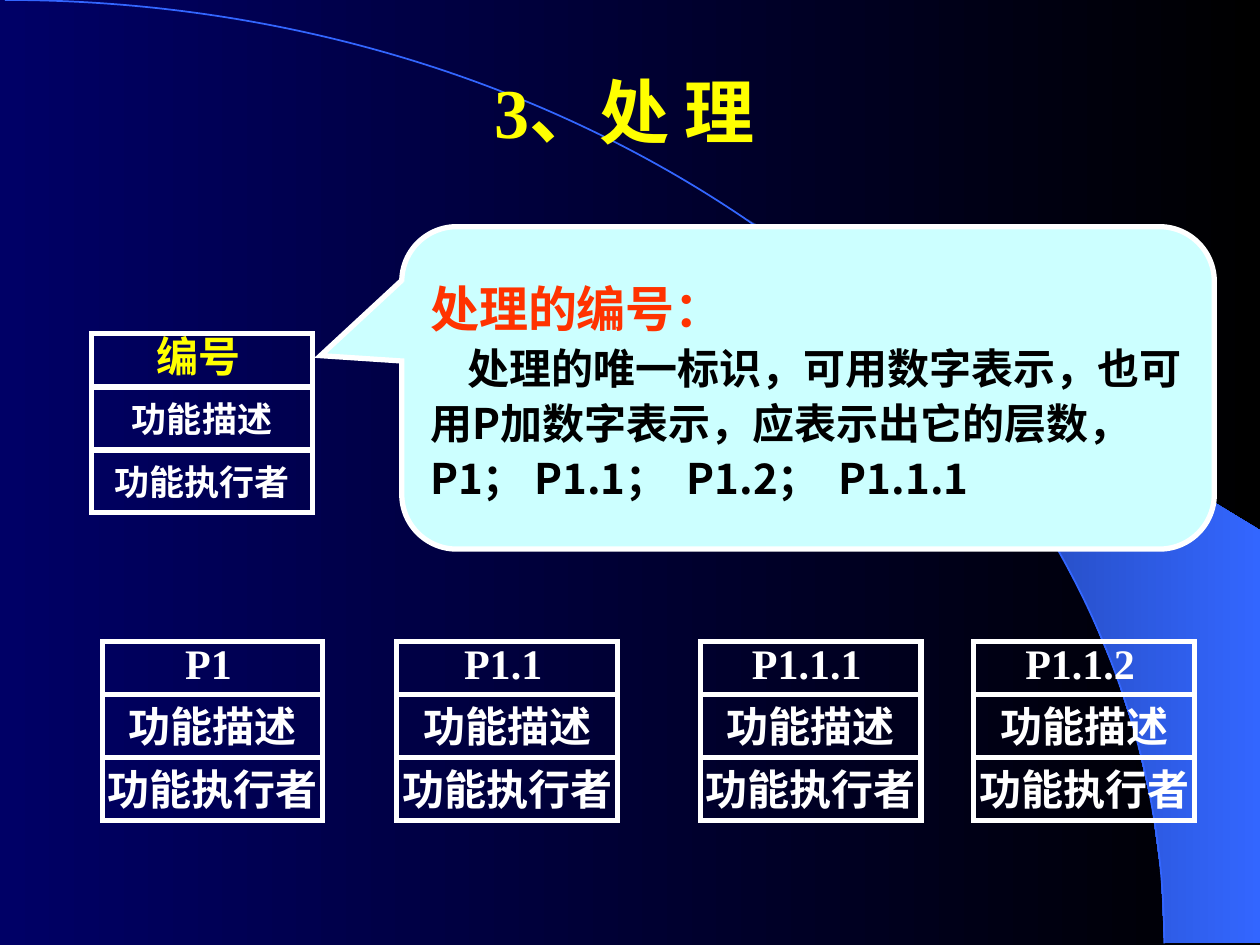
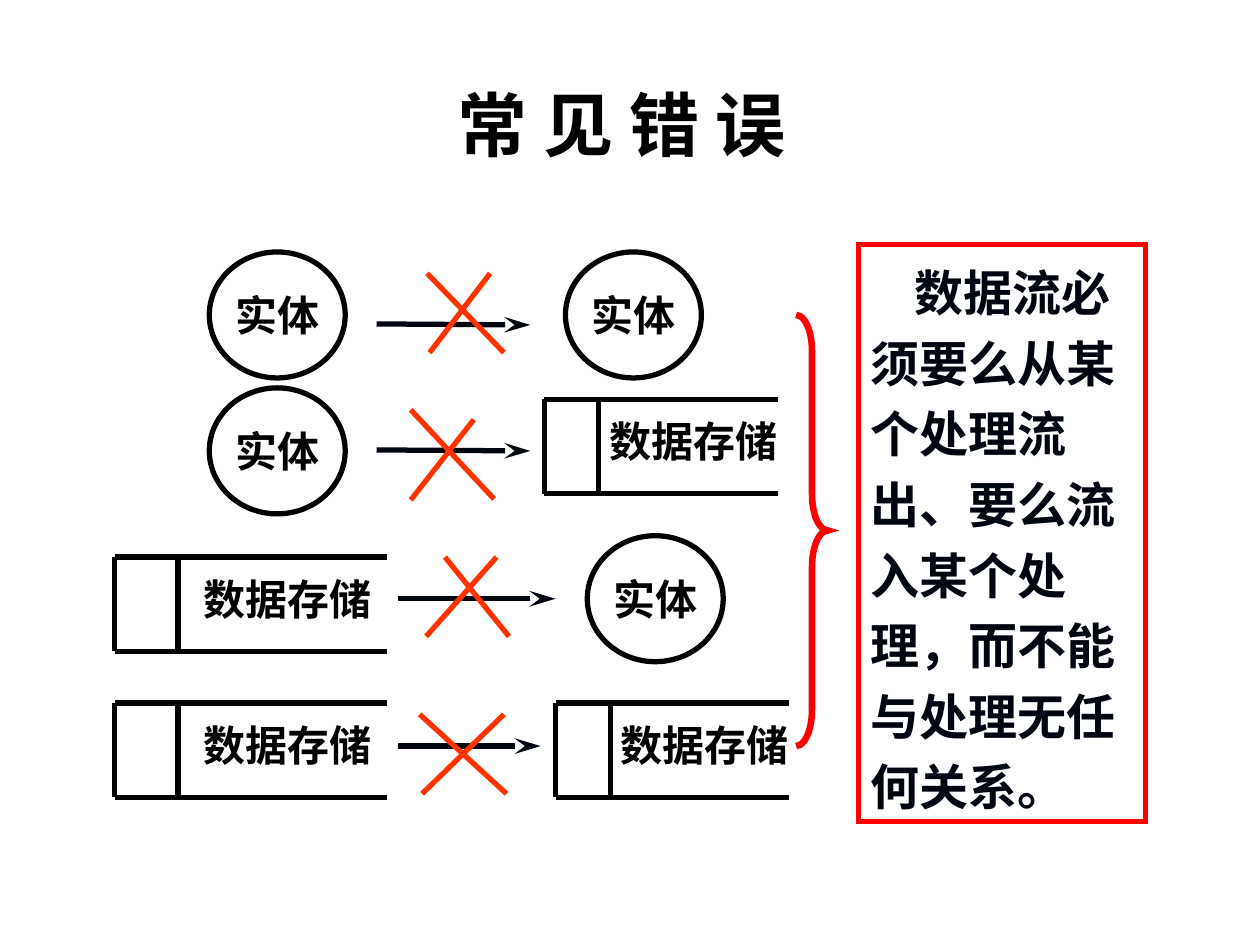
from dataclasses import dataclass
from math import acos, cos, sin

from pptx import Presentation
from pptx.dml.color import RGBColor
from pptx.enum.shapes import MSO_CONNECTOR, MSO_SHAPE as Preset
from pptx.enum.text import MSO_ANCHOR as Anchor, PP_ALIGN as Align
from pptx.oxml.ns import qn
from pptx.oxml.xmlchemy import OxmlElement
from pptx.util import Cm, Pt

SERIF = "Times New Roman"
SANS = "Noto Sans CJK SC"
WHITE, BLACK, INK = "FFFFFF", "000000", "01050F"
YELLOW, RED, ORANGE = "FFFF00", "FF0000", "FF3300"
NAVY, BLUE, DEEP_BLUE, PALE_CYAN = "000066", "3366FF", "182F76", "CCFFFF"
INSET_X, INSET_Y = 0.25, 0.13
RULE_WIDTH = 3
ARC_LEFT, ARC_WIDTH, ARC_HEIGHT = 0.1, 23.37, 19.02
CURVE_RATIO = 0.55
WIDE_GAP = "|"

Point = tuple[float, float]


@dataclass(frozen=True)
class TextStyle:
    size: float
    color: str
    font: str = SERIF
    align: Align = Align.CENTER
    spacing: float = 1.0
    indent: float = 0


@dataclass(frozen=True)
class ProcessBox:
    left: float
    top: float
    number: str
    number_color: str = WHITE
    label_size: float = 24


@dataclass(frozen=True)
class Entity:
    left: float
    top: float


@dataclass(frozen=True)
class DataStore:
    left: float
    top: float
    width: float
    divider: float


@dataclass(frozen=True)
class RejectedFlow:
    """An arrow and the two strokes that cross it out."""
    start: Point
    end: Point
    strokes: tuple[tuple[Point, Point], tuple[Point, Point]]


PROCESS_ROWS = ("功能描述", "功能执行者")
PROCESSES = (
    ProcessBox(1.85, 6.73, "编号", YELLOW, 20),
    ProcessBox(2.06, 12.93, "P1"),
    ProcessBox(8, 12.93, "P1.1"),
    ProcessBox(14.12, 12.93, "P1.1.1"),
    ProcessBox(19.63, 12.93, "P1.1.2"),
)
ENTITIES = (Entity(4.22, 5.08), Entity(11.4, 5.08),
            Entity(4.22, 7.82), Entity(11.84, 10.8))
STORES = (
    DataStore(10.97, 8.05, 4.72, 1.1),
    DataStore(2.31, 11.23, 5.49, 1.28),
    DataStore(2.31, 14.17, 5.49, 1.28),
    DataStore(11.2, 14.17, 4.7, 1.1),
)
FLOWS = (
    RejectedFlow((7.59, 6.53), (10.69, 6.55),
                 (((8.61, 5.51), (10.16, 7.11)), ((9.88, 5.51), (8.66, 7.11)))),
    RejectedFlow((7.59, 9.07), (10.69, 9.09),
                 (((8.28, 8.26), (9.96, 10.06)), ((9.55, 8.46), (8.28, 10.08)))),
    RejectedFlow((8.03, 12.07), (11.2, 12.07),
                 (((8.97, 11.23), (10.26, 12.83)), ((10.01, 11.23), (8.59, 12.83)))),
    RejectedFlow((8.03, 15.04), (10.9, 15.04),
                 (((8.46, 14.4), (10.21, 16)), ((10.16, 14.4), (8.51, 16)))),
)


def rgb(color: str) -> RGBColor:
    return RGBColor.from_string(color)


def set_values(target, values: dict) -> None:
    for name, value in values.items():
        setattr(target, name, value)


def add_element(parent, tag: str, **attributes: str):
    element = OxmlElement(tag)
    for name, value in attributes.items():
        element.set(name, value)
    parent.append(element)
    return element


def paint_gradient(fill, colors: tuple[str, str]) -> None:
    fill.gradient()
    fill.gradient_angle = 0
    for stop, color in zip(fill.gradient_stops, colors):
        stop.color.rgb = rgb(color)


def paint(shape, fill: str | None = None, line: str | None = None,
          width: float = RULE_WIDTH) -> None:
    """Give a shape a plain fill and a sharp-cornered line, or none, and no shadow."""
    shape.shadow.inherit = False
    if fill:
        shape.fill.solid()
        shape.fill.fore_color.rgb = rgb(fill)
    else:
        shape.fill.background()
    if line:
        shape.line.color.rgb = rgb(line)
        shape.line.width = Pt(width)
        add_element(shape.line._ln, "a:miter", lim="800000")
    else:
        shape.line.fill.background()


def write_span(para, text: str, style: TextStyle) -> None:
    span = para.add_run()
    span.text = text
    set_values(span.font, {"name": style.font, "size": Pt(style.size), "bold": True})
    span.font.color.rgb = rgb(style.color)
    add_element(span.font._element, "a:ea", typeface=SANS)


def write_para(para, text: str, style: TextStyle) -> None:
    """Write a paragraph; each WIDE_GAP becomes one space of double width."""
    properties = para._p.get_or_add_pPr()
    for name, value in (("marL", 0), ("indent", Cm(style.indent)), ("hangingPunct", 0)):
        properties.set(name, str(value))
    set_values(para, {"alignment": style.align, "line_spacing": style.spacing})
    for index, part in enumerate(text.split(WIDE_GAP)):
        if index:
            write_span(para, " ", style)
            para.runs[-1].font._element.set("spc", "540")
        write_span(para, part, style)


def write(shape, lines: list[tuple[str, TextStyle]], anchor: Anchor = Anchor.MIDDLE,
          inset_x: float = INSET_X) -> None:
    frame = shape.text_frame
    set_values(frame, {
        "word_wrap": True, "vertical_anchor": anchor,
        "margin_left": Cm(inset_x), "margin_right": Cm(inset_x),
        "margin_top": Cm(INSET_Y), "margin_bottom": Cm(INSET_Y),
    })
    for index, (text, style) in enumerate(lines):
        para = frame.add_paragraph() if index else frame.paragraphs[0]
        write_para(para, text, style)


def add_preset(page, preset: Preset, left: float, top: float,
               width: float, height: float):
    return page.shapes.add_shape(preset, Cm(left), Cm(top), Cm(width), Cm(height))


def add_label(page, text: str, style: TextStyle, left: float, top: float,
              width: float, height: float = 1.27) -> None:
    box = page.shapes.add_textbox(Cm(left), Cm(top), Cm(width), Cm(height))
    write(box, [(text, style)], inset_x=0)


def add_line(page, start: Point, end: Point, color: str, arrow: bool = False) -> None:
    line = page.shapes.add_connector(
        MSO_CONNECTOR.STRAIGHT, *(Cm(value) for value in (*start, *end)))
    line.line.color.rgb = rgb(color)
    line.line.width = Pt(RULE_WIDTH)
    if arrow:
        add_element(line.line._ln, "a:tailEnd", type="stealth", w="med", len="lg")
    add_element(line._element.spPr, "a:effectLst")


def add_outline(page, points: list[Point], close: bool):
    corners = [(Cm(x), Cm(y)) for x, y in points]
    builder = page.shapes.build_freeform(*corners[0])
    builder.add_line_segments(corners[1:], close=close)
    return builder.convert_to_shape()


def set_title(page, text: str, style: TextStyle, left: float, top: float,
              width: float, height: float) -> None:
    title = page.shapes.title
    set_values(title, {"left": Cm(left), "top": Cm(top),
                       "width": Cm(width), "height": Cm(height)})
    write(title, [(text, style)])
    page.shapes._spTree.append(title._element)


def arc_points(first: float, steps: int = 12) -> list[Point]:
    """Points on the large quarter ellipse, from an angle down to zero."""
    angles = (first * (1 - step / steps) for step in range(steps + 1))
    return [(ARC_LEFT + ARC_WIDTH * cos(angle), ARC_HEIGHT * (1 - sin(angle)))
            for angle in angles]


def add_arc(page) -> None:
    """Draw the quarter ellipse as a single curve."""
    arc = add_outline(page, [(ARC_LEFT, 0), (ARC_LEFT + ARC_WIDTH, ARC_HEIGHT)], close=False)
    segment = next(arc._element.iter(qn("a:lnTo")))
    curve = OxmlElement("a:cubicBezTo")
    for x, y in ((CURVE_RATIO, 0), (1, 1 - CURVE_RATIO), (1, 1)):
        add_element(curve, "a:pt", x=str(Cm(x * ARC_WIDTH)), y=str(Cm(y * ARC_HEIGHT)))
    segment.getparent().replace(segment, curve)
    paint(arc, line=BLUE, width=1)


def add_backdrop(page) -> None:
    paint_gradient(page.background.fill, (NAVY, BLACK))
    wing_points = arc_points(acos(0.64)) + [(25.4, ARC_HEIGHT), (25.4, 10.69)]
    wing = add_outline(page, wing_points, close=True)
    paint(wing)
    paint_gradient(wing.fill, (DEEP_BLUE, BLUE))
    add_arc(page)


def add_process(page, process: ProcessBox) -> None:
    left, top, width, row = process.left, process.top, 4.45, 1.27
    paint(add_preset(page, Preset.RECTANGLE, left, top, width, 3.61), line=WHITE)
    first_row = top - 0.2
    add_label(page, process.number, TextStyle(24, process.number_color),
              left, first_row, width - 0.16)
    for index, text in enumerate(PROCESS_ROWS, start=1):
        y = first_row + index * row
        add_line(page, (left, y), (left + width, y), WHITE)
        add_label(page, text, TextStyle(process.label_size, WHITE), left, y, width)


def add_entity(page, entity: Entity) -> None:
    circle = add_preset(page, Preset.OVAL, entity.left, entity.top, 2.74, 2.54)
    paint(circle, line=BLACK)
    write(circle, [("实体", TextStyle(24, BLACK))], inset_x=0)


def add_store(page, store: DataStore) -> None:
    left, top, bottom = store.left, store.top, store.top + 1.9
    right, divider = left + store.width, left + store.divider
    for y in (top, bottom):
        add_line(page, (left, y), (right, y), BLACK)
    for x in (left, divider):
        add_line(page, (x, top), (x, bottom), BLACK)
    add_label(page, "数据存储", TextStyle(24, BLACK),
              divider - 0.22, top + 0.2, right - divider + 0.64)


def add_flow(page, flow: RejectedFlow) -> None:
    add_line(page, flow.start, flow.end, INK, arrow=True)
    for start, end in flow.strokes:
        add_line(page, start, end, ORANGE)


def build_process_page(page) -> None:
    add_backdrop(page)
    for process in PROCESSES:
        add_process(page, process)
    callout = add_preset(page, Preset.ROUNDED_RECTANGULAR_CALLOUT, 8.1, 4.57, 16.38, 6.5)
    for index, value in enumerate((-0.6, -0.1, 0.17)):
        callout.adjustments[index] = value
    paint(callout, PALE_CYAN, WHITE)
    write(callout, [
        ("处理的编号：", TextStyle(28, ORANGE, SANS, Align.LEFT, 1.1)),
        ("处理的唯一标识，可用数字表示，也可用P加数字表示，应表示出它的层数，"
         "P1； P1.1；|P1.2；|P1.1.1",
         TextStyle(24, BLACK, SANS, Align.LEFT, 1.1, 0.76)),
    ])
    set_title(page, "3、处 理", TextStyle(40, YELLOW), 0.69, 1.24, 23.8, 1.96)


def build_error_page(page) -> None:
    note = add_preset(page, Preset.RECTANGLE, 17.3, 4.93, 5.79, 11.63)
    paint(note, line=RED)
    write(note, [("数据流必须要么从某个处理流出、要么流入某个处理，而不能与处理无任何关系。",
                  TextStyle(28, INK, SANS, Align.LEFT, 1.2, 0.89))], Anchor.TOP)
    set_title(page, "常 见 错 误", TextStyle(40, BLACK, SANS), 2.49, 0.91, 20.07, 3.18)
    for flow in FLOWS:
        add_flow(page, flow)
    brace = add_preset(page, Preset.RIGHT_BRACE, 16.05, 6.35, 0.64, 8.69)
    brace.adjustments[0] = 1.14
    paint(brace, line=RED, width=3.75)
    for entity in ENTITIES:
        add_entity(page, entity)
    for store in STORES:
        add_store(page, store)


def main() -> None:
    deck = Presentation()
    set_values(deck, {"slide_width": Cm(25.4), "slide_height": Cm(19.05)})
    title_only = deck.slide_layouts[5]
    for build in (build_process_page, build_error_page):
        build(deck.slides.add_slide(title_only))
    deck.save("out.pptx")


if __name__ == "__main__":
    main()
